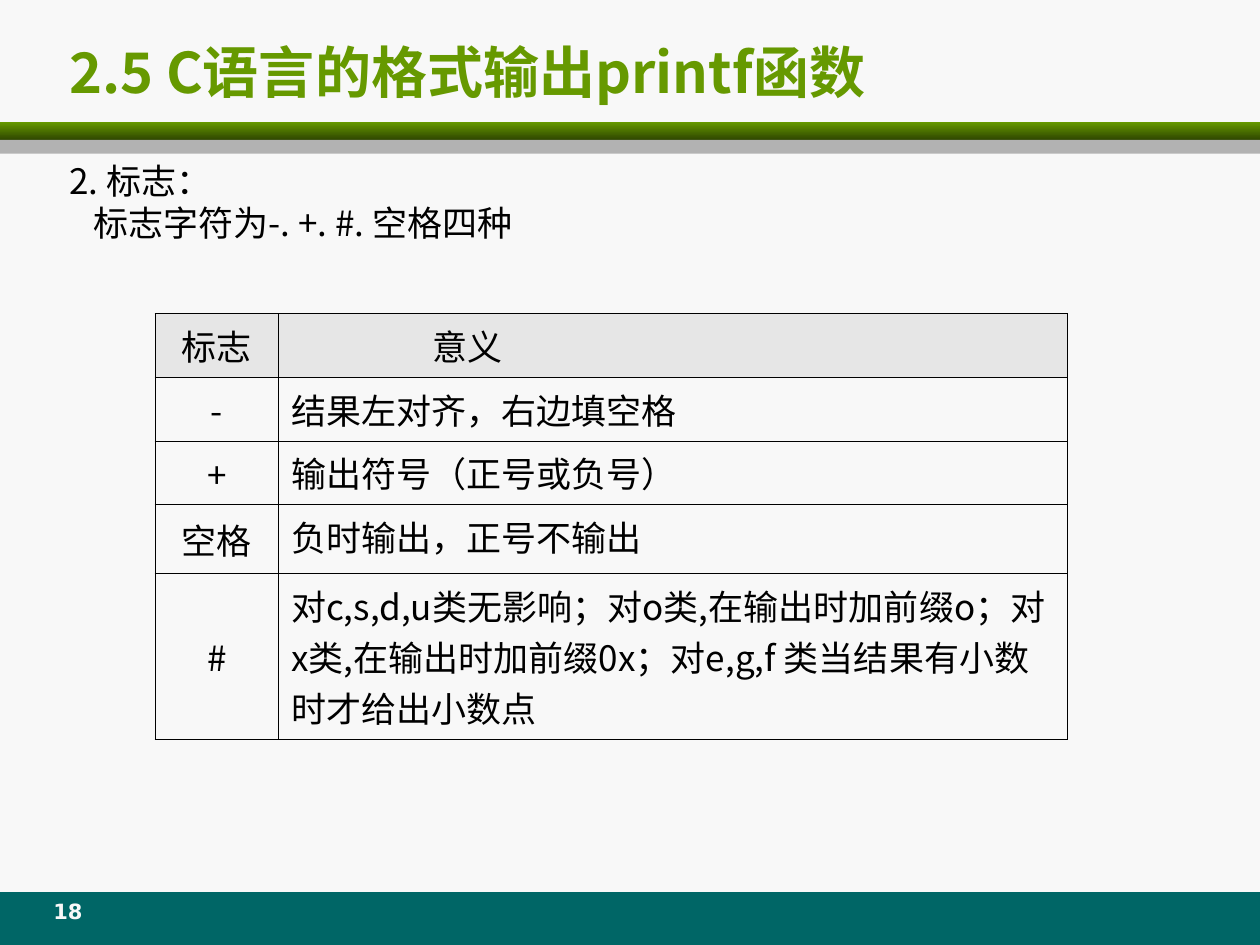
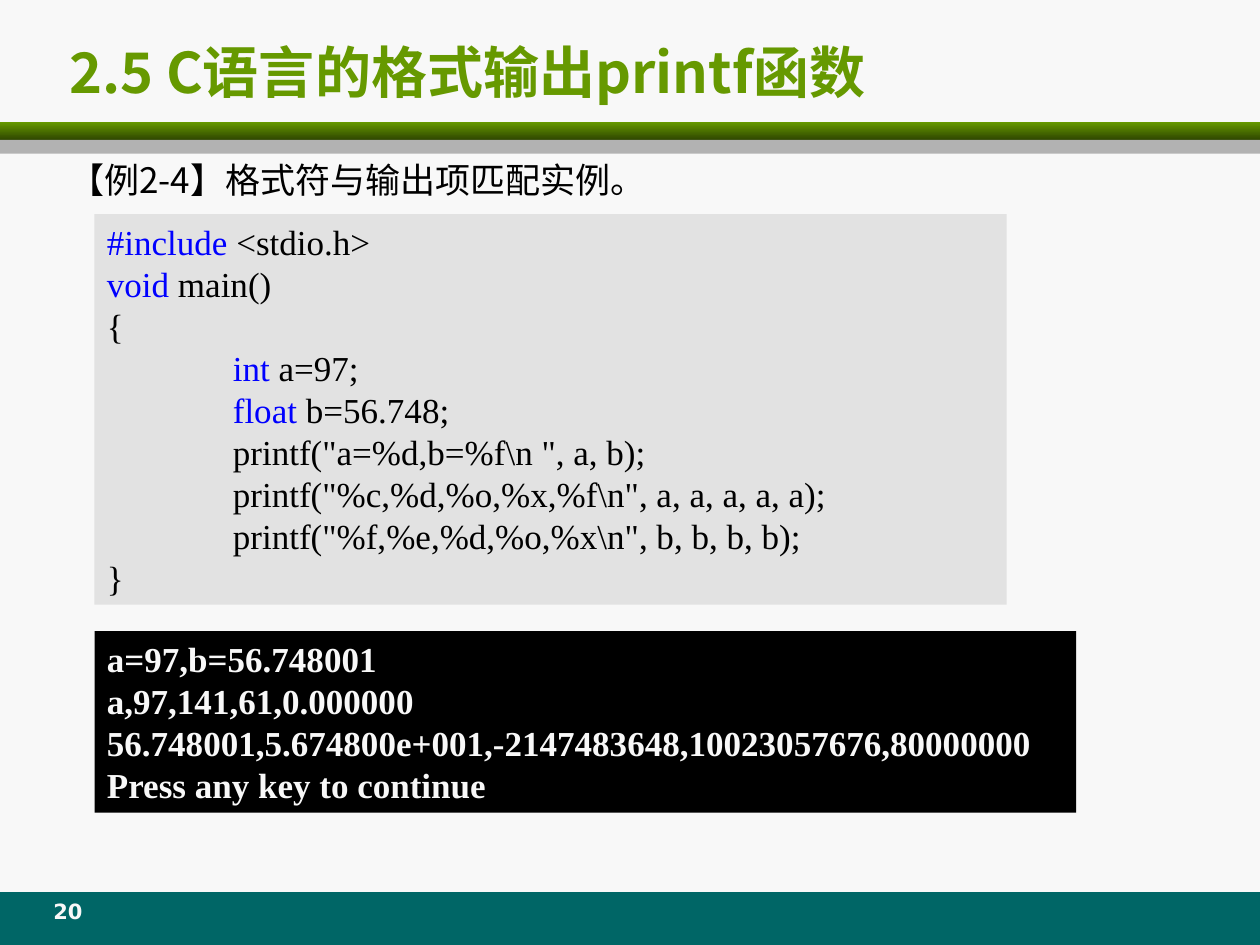
"""Build two slides on the printf function: its flags, and an example with its output."""
from lxml.etree import SubElement
from pptx import Presentation
from pptx.dml.color import RGBColor as RGB
from pptx.enum.shapes import MSO_SHAPE
from pptx.enum.text import MSO_ANCHOR as ANCHOR, PP_ALIGN as ALIGN
from pptx.oxml.ns import qn
from pptx.util import Inches, Pt

GREEN, DARK_GREEN = RGB(0x66, 0x99, 0x00), RGB(0x2F, 0x47, 0x00)
TEAL, GRAY = RGB(0x00, 0x66, 0x66), RGB(0xB2, 0xB2, 0xB2)
PAPER, BLACK, BLUE = RGB(0xF8, 0xF8, 0xF8), RGB(0, 0, 0), RGB(0, 0, 0xFF)
HEADER_GRAY, CODE_GRAY = RGB(0xE6, 0xE6, 0xE6), RGB(0xE2, 0xE2, 0xE2)
SANS, TITLE_FONT = "Noto Sans CJK SC", "Noto Sans CJK JP"
SERIF, NUMBER_FONT = "Times New Roman", "DejaVu Sans"

prs = Presentation()
prs.slide_width, prs.slide_height = Inches(10), Inches(7.5)
COL, ROW = prs.slide_width // 100, prs.slide_height // 75
bg = prs.slide_master.background.fill
bg.solid()
bg.fore_color.rgb = PAPER


def write(tf, lines, size=20, font=SANS, color=BLACK, bold=False, align=ALIGN.LEFT,
          anchor=ANCHOR.TOP, indents=(), pitch=None):
    """Fill a text frame; a line is a string or a list of (text, colour) runs."""
    tf.word_wrap = True
    tf.vertical_anchor = anchor
    for i, line in enumerate(lines):
        p = tf.paragraphs[0] if i == 0 else tf.add_paragraph()
        p.alignment = align
        if pitch:
            p.line_spacing = Pt(pitch)
        pPr = p._p.get_or_add_pPr()
        if i < len(indents):
            pPr.set("marL", str(int(indents[i] * COL)))
        runs = [(line, color)] if isinstance(line, str) else line
        if runs[0][0].startswith("\t"):
            tabs = SubElement(pPr, qn("a:tabLst"))
            SubElement(tabs, qn("a:tab"), pos=str(10 * COL), algn="l")
        for text, run_color in runs:
            r = p.add_run()
            r.text = text
            r.font.size, r.font.bold = Pt(size), bold
            r.font.color.rgb = run_color
            r.font.name = font
            SubElement(r._r.get_or_add_rPr(), qn("a:ea"), typeface=font)


def box(s, x, y, w, h, fill=None):
    """Add a borderless rectangle, or a text box when there is no fill."""
    place = int(x * COL), int(y * ROW), int(w * COL), int(h * ROW)
    if fill is None:
        return s.shapes.add_textbox(*place)
    sp = s.shapes.add_shape(MSO_SHAPE.RECTANGLE, *place)
    sp.shadow.inherit = False
    sp.line.fill.background()
    sp.fill.solid()
    sp.fill.fore_color.rgb = fill
    return sp


slides = []
for number in ("18", "20"):
    s = prs.slides.add_slide(prs.slide_layouts[6])
    box(s, 0, 70.8, 100, 4.2, TEAL)
    band = box(s, 0, 9.7, 100, 1.4, GREEN)
    band.fill.gradient()
    band.fill.gradient_angle = 270
    for stop, position, color in zip(band.fill.gradient_stops, (0, 1), (GREEN, DARK_GREEN)):
        stop.position, stop.color.rgb = position, color
    box(s, 0, 11.1, 100, 1.1, GRAY)
    write(box(s, 2.5, 70.8, 5.8, 3.3).text_frame, [number], size=12, font=NUMBER_FONT,
          color=PAPER, bold=True, align=ALIGN.CENTER)
    write(box(s, 4.5, 2.3, 95.5, 6.7).text_frame, ["2.5 C语言的格式输出printf函数"], size=32,
          font=TITLE_FONT, color=GREEN, bold=True, anchor=ANCHOR.MIDDLE)
    slides.append(s)
flags, example = slides

write(box(flags, 4.5, 12.2, 92.7, 8.8).text_frame,
      ["2. 标志：", "标志字符为-. +. #. 空格四种"], indents=(0, 1.9))

rows = [
    ("标志", "意义"),
    ("-", "结果左对齐，右边填空格"),
    ("+", "输出符号（正号或负号）"),
    ("空格", "负时输出，正号不输出"),
    ("#", "对c,s,d,u类无影响；对o类,在输出时加前缀o；对x类,在输出时加前缀0x；"
          "对e,g,f 类当结果有小数时才给出小数点"),
]
heights = (5.05, 5.05, 5.05, 5.5, 13.1)
table = flags.shapes.add_table(len(rows), 2, int(12.3 * COL), int(24.9 * ROW),
                               int(72.4 * COL), int(sum(heights) * ROW)).table
table.first_row = table.horz_banding = False
for column, width in zip(table.columns, (9.8, 62.6)):
    column.width = int(width * COL)
for i, (row, height) in enumerate(zip(rows, heights)):
    table.rows[i].height = int(height * ROW)
    for j, text in enumerate(row):
        cell = table.cell(i, j)
        write(cell.text_frame, [text], align=ALIGN.LEFT if j else ALIGN.CENTER,
              indents=(11.2,) if (i, j) == (0, 1) else ())
        cell.vertical_anchor = ANCHOR.TOP if j else ANCHOR.MIDDLE
        tcPr = cell._tc.get_or_add_tcPr()
        for side in ("a:lnL", "a:lnR", "a:lnT", "a:lnB"):
            ln = SubElement(tcPr, qn(side), w=str(Pt(0.45)))
            SubElement(SubElement(ln, qn("a:solidFill")), qn("a:srgbClr"), val=str(BLACK))
        if i == 0:
            cell.fill.solid()
            cell.fill.fore_color.rgb = HEADER_GRAY
        else:
            cell.fill.background()

write(box(example, 4.5, 12.1, 91.9, 4.9).text_frame, ["【例2-4】格式符与输出项匹配实例。"])

code = [
    [("#include", BLUE), (" <stdio.h>", BLACK)],
    [("void", BLUE), (" main()", BLACK)],
    "{",
    [("\t", BLACK), ("int", BLUE), (" a=97;", BLACK)],
    [("\t", BLACK), ("float ", BLUE), ("b=56.748;", BLACK)],
    '\tprintf("a=%d,b=%f\\n ", a, b);',
    '\tprintf("%c,%d,%o,%x,%f\\n", a, a, a, a, a);',
    '\tprintf("%f,%e,%d,%o,%x\\n", b, b, b, b);',
    "}",
]
write(box(example, 7.5, 17, 72.4, 31, CODE_GRAY).text_frame, code, font=SERIF, pitch=24)

output = [
    "a=97,b=56.748001",
    "a,97,141,61,0.000000",
    "56.748001,5.674800e+001,-2147483648,10023057676,80000000",
    "Press any key to continue",
]
write(box(example, 7.5, 50.1, 77.9, 14.4, BLACK).text_frame, output, font=SERIF,
      color=PAPER, bold=True, pitch=24)

prs.save("out.pptx")
